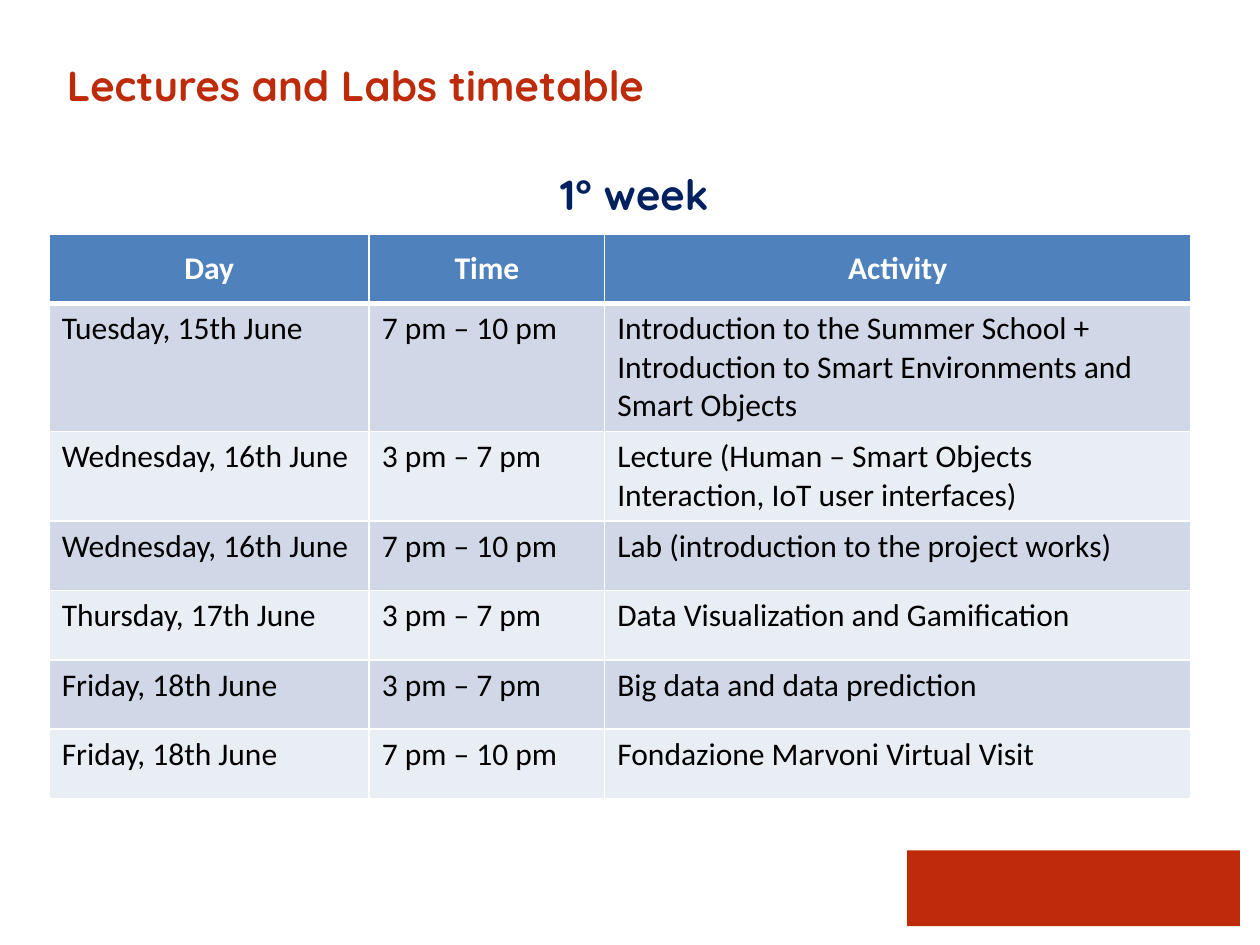
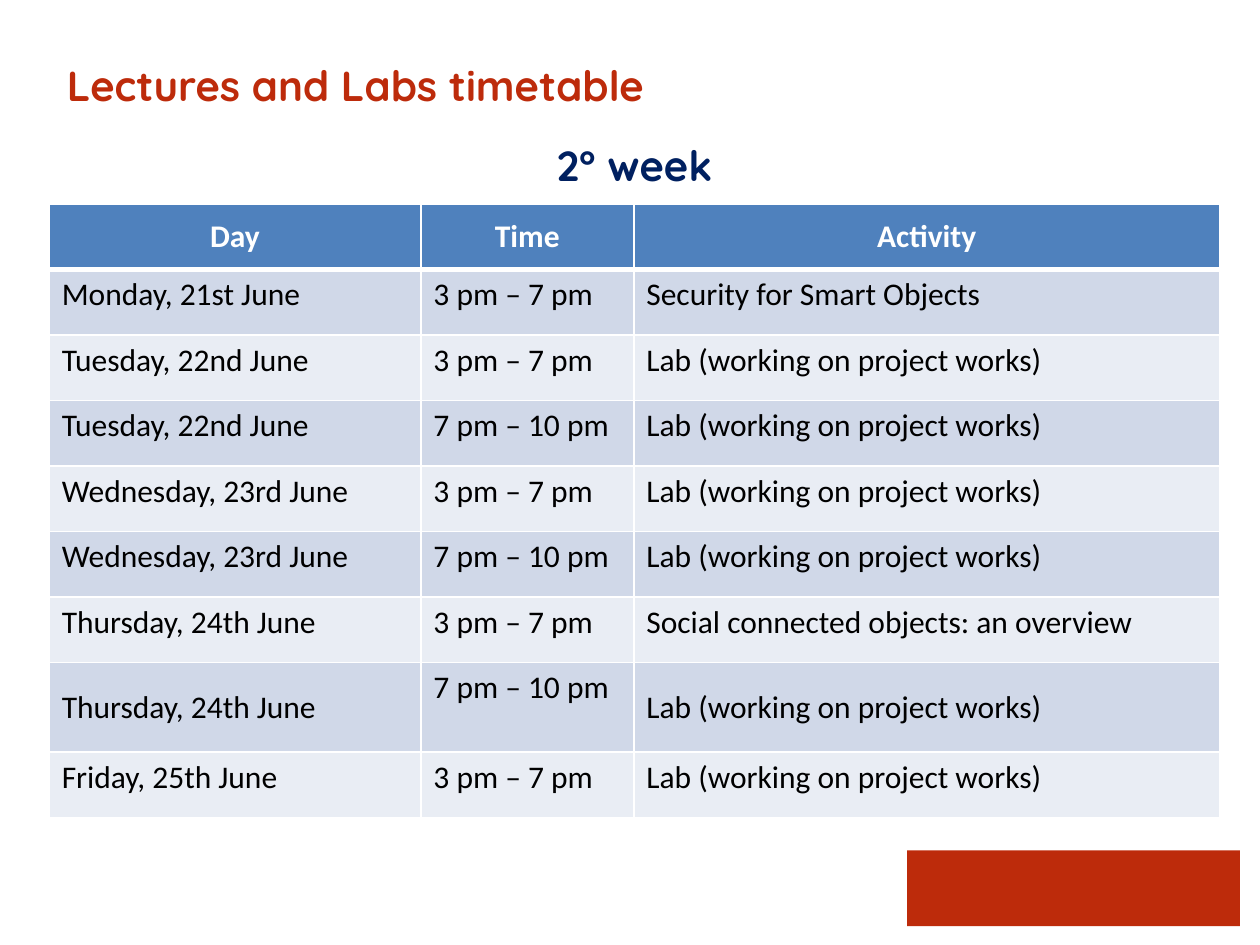
from dataclasses import dataclass

from lxml.etree import SubElement
from pptx import Presentation
from pptx.dml.color import RGBColor
from pptx.enum.shapes import MSO_SHAPE
from pptx.enum.text import MSO_ANCHOR, MSO_AUTO_SIZE, PP_ALIGN
from pptx.oxml.ns import qn
from pptx.util import Inches, Pt


@dataclass(frozen=True)
class Theme:
    red: str = "BD2B0B"
    navy: str = "002060"
    header: str = "4F81BD"
    bands: tuple = ("D0D8E8", "E9EDF4")
    white: str = "FFFFFF"
    black: str = "000000"
    heading_font: str = "Quicksand"
    table_font: str = "Calibri"
    heading_size: int = 24
    heading_line: int = 22
    table_size: int = 18
    border: int = 1
    header_border: int = 3


THEME = Theme()
TITLE = "Lectures and Labs timetable"
COLUMNS = ("Day", "Time", "Activity")
AFTERNOON = "3 pm – 7 pm"
EVENING = "7 pm – 10 pm"
LAB = "Lab (working on project works)"
FIRST_WEEK = [
    ("Tuesday, 15th June", EVENING,
     "Introduction to the Summer School + Introduction to Smart Environments and Smart Objects"),
    ("Wednesday, 16th June", AFTERNOON,
     "Lecture (Human – Smart Objects Interaction, IoT user interfaces)"),
    ("Wednesday, 16th June", EVENING, "Lab (introduction to the project works)"),
    ("Thursday, 17th June", AFTERNOON, "Data Visualization and Gamification"),
    ("Friday, 18th June", AFTERNOON, "Big data and data prediction"),
    ("Friday, 18th June", EVENING, "Fondazione Marvoni Virtual Visit"),
]
SECOND_WEEK = [
    ("Monday, 21st June", AFTERNOON, "Security for Smart Objects"),
    ("Tuesday, 22nd June", AFTERNOON, LAB),
    ("Tuesday, 22nd June", EVENING, LAB),
    ("Wednesday, 23rd June", AFTERNOON, LAB),
    ("Wednesday, 23rd June", EVENING, LAB),
    ("Thursday, 24th June", AFTERNOON, "Social connected objects: an overview"),
    ("Thursday, 24th June", EVENING, LAB),
    ("Friday, 25th June", AFTERNOON, LAB),
]


def style_font(paragraph, name, size, color, bold):
    for run in paragraph.runs:
        run.font.name = name
        run.font.size = Pt(size)
        run.font.bold = bold
        run.font.color.rgb = RGBColor.from_string(color)


def write_heading(shape, text, top, height, color, alignment):
    shape.left, shape.top = Inches(0.43), Inches(top)
    shape.width, shape.height = Inches(9.21), Inches(height)
    frame = shape.text_frame
    frame.text = text
    frame.word_wrap = True
    frame.auto_size = MSO_AUTO_SIZE.NONE
    frame.vertical_anchor = MSO_ANCHOR.TOP
    paragraph = frame.paragraphs[0]
    paragraph.alignment = alignment
    paragraph.line_spacing = Pt(THEME.heading_line)
    style_font(paragraph, THEME.heading_font, THEME.heading_size, color, True)


def add_layout_band(slide):
    band = slide.shapes.add_shape(
        MSO_SHAPE.RECTANGLE, Inches(7.2), Inches(6.75), Inches(2.64), Inches(0.6))
    band.shadow.inherit = False
    band.fill.solid()
    band.fill.fore_color.rgb = RGBColor.from_string(THEME.red)
    band.line.fill.background()
    slide.slide_layout.shapes.element.append(band.element)


def set_borders(cell, top, bottom):
    properties = cell._tc.get_or_add_tcPr()
    sides = {"lnL": THEME.border, "lnR": THEME.border, "lnT": top, "lnB": bottom}
    for side, width in sides.items():
        line = SubElement(properties, qn(f"a:{side}"), w=str(Pt(width)))
        fill = SubElement(line, qn("a:solidFill"))
        SubElement(fill, qn("a:srgbClr"), val=THEME.white)


def format_cell(cell, text, row_index):
    is_header = row_index == 0
    set_borders(
        cell,
        top=THEME.header_border if row_index == 1 else THEME.border,
        bottom=THEME.header_border if is_header else THEME.border)
    cell.fill.solid()
    fill = THEME.header if is_header else THEME.bands[(row_index - 1) % 2]
    cell.fill.fore_color.rgb = RGBColor.from_string(fill)
    cell.vertical_anchor = MSO_ANCHOR.MIDDLE if is_header else MSO_ANCHOR.TOP
    cell.text_frame.text = text
    paragraph = cell.text_frame.paragraphs[0]
    paragraph.alignment = PP_ALIGN.CENTER if is_header else PP_ALIGN.LEFT
    color = THEME.white if is_header else THEME.black
    style_font(paragraph, THEME.table_font, THEME.table_size, color, is_header)


def add_timetable(slide, sessions, top, column_widths, row_height):
    rows = [COLUMNS, *sessions]
    table = slide.shapes.add_table(
        len(rows), len(COLUMNS), Inches(0.39), Inches(top),
        Inches(sum(column_widths)), Inches(row_height * len(rows))).table
    for column, width in zip(table.columns, column_widths):
        column.width = Inches(width)
    for row_index, texts in enumerate(rows):
        table.rows[row_index].height = Inches(row_height)
        for cell, text in zip(table.rows[row_index].cells, texts):
            format_cell(cell, text, row_index)
    return table


def add_week_slide(presentation, week, week_top):
    slide = presentation.slides.add_slide(presentation.slide_layouts[5])
    write_heading(slide.shapes.title, TITLE, 0.52, 0.71, THEME.red, PP_ALIGN.LEFT)
    week_box = slide.shapes.add_textbox(0, 0, 0, 0)
    write_heading(week_box, week, week_top, 0.32, THEME.navy, PP_ALIGN.CENTER)
    return slide


def main():
    presentation = Presentation()
    presentation.slide_width, presentation.slide_height = Inches(10), Inches(7.5)

    first_slide = add_week_slide(presentation, "1° week", 1.38)
    add_layout_band(first_slide)
    add_timetable(first_slide, FIRST_WEEK, 1.86, (2.54, 1.87, 4.65), 0.55)

    second_slide = add_week_slide(presentation, "2° week", 1.15)
    timetable = add_timetable(second_slide, SECOND_WEEK, 1.62, (2.95, 1.69, 4.65), 0.52)
    tall_row = timetable.rows[7]
    tall_row.height = Inches(0.71)
    for column_index in (0, 2):
        tall_row.cells[column_index].vertical_anchor = MSO_ANCHOR.MIDDLE

    presentation.save("out.pptx")


if __name__ == "__main__":
    main()
